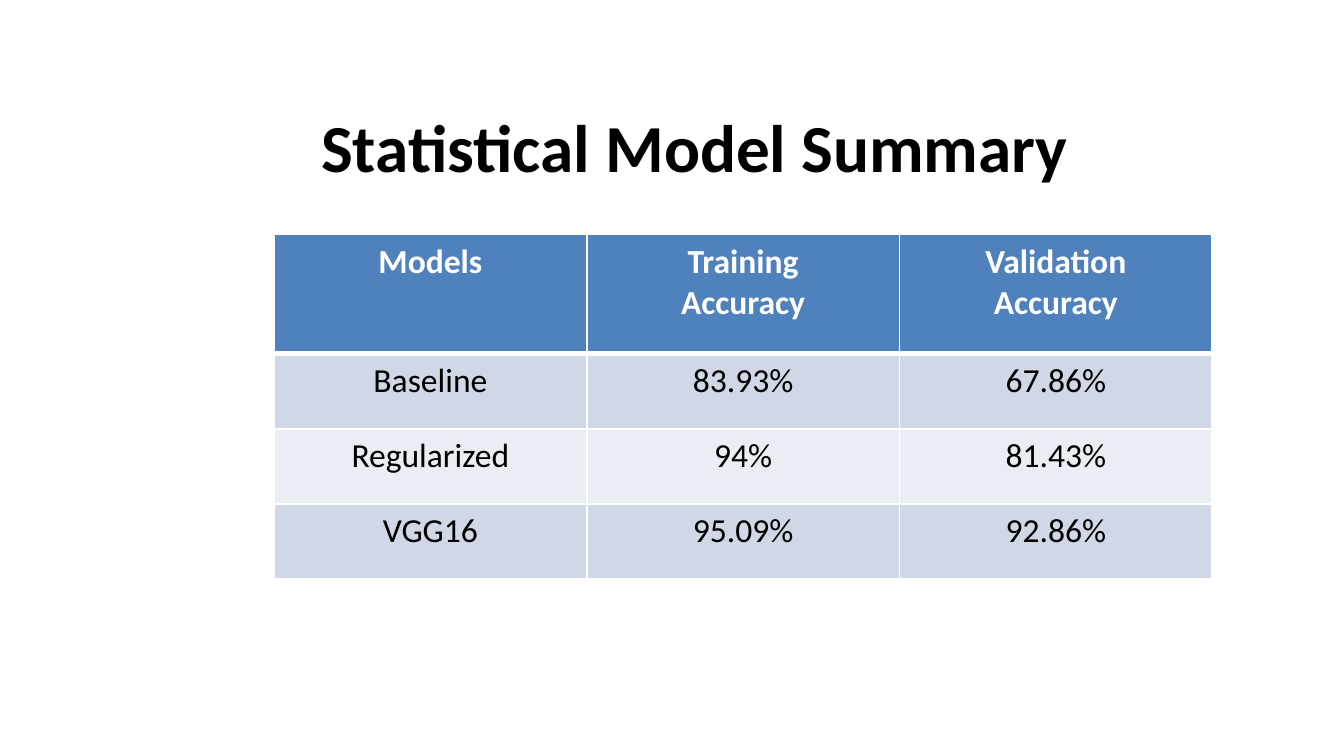
from pptx import Presentation
from pptx.dml.color import RGBColor
from pptx.enum.text import MSO_ANCHOR, PP_ALIGN
from pptx.oxml import parse_xml
from pptx.oxml.ns import nsdecls
from pptx.util import Cm, Pt

COLORS = {
    "text": "000000",
    "white": "FFFFFF",
    "header": "4F81BD",
    "band_dark": "D0D8E8",
    "band_light": "E9EDF4",
}

ROWS = [
    ("Models", "Training\nAccuracy", "Validation\nAccuracy"),
    ("Baseline", "83.93%", "67.86%"),
    ("Regularized", "94%", "81.43%"),
    ("VGG16", "95.09%", "92.86%"),
]


def write_text(tf, text, size=18, bold=False, color="text", font="Calibri",
               align=PP_ALIGN.CENTER):
    for i, line in enumerate(text.split("\n")):
        p = tf.paragraphs[0] if i == 0 else tf.add_paragraph()
        p.alignment = align
        r = p.add_run()
        r.text = line
        r.font.name = font
        r.font.size = Pt(size)
        r.font.bold = bold
        r.font.color.rgb = RGBColor.from_string(COLORS[color])


class SlideBuilder:
    def __init__(self, slide, colors):
        self.slide = slide
        self.colors = colors

    def title(self, text, left, top, width, height):
        sp = self.slide.shapes.title
        sp.left, sp.top, sp.width, sp.height = map(Cm, (left, top, width, height))
        tf = sp.text_frame
        tf.vertical_anchor = MSO_ANCHOR.MIDDLE
        write_text(tf, text, size=36, bold=True)

    def borders(self, cell, widths):
        tc_pr = cell._tc.get_or_add_tcPr()
        for side, width in widths.items():
            tc_pr.append(parse_xml(
                f'<a:ln{side} {nsdecls("a")} w="{Pt(width)}"><a:solidFill>'
                f'<a:srgbClr val="{self.colors["white"]}"/>'
                f'</a:solidFill></a:ln{side}>'))

    def table(self, rows, left, top, col_width, row_heights):
        n_cols = len(rows[0])
        table = self.slide.shapes.add_table(
            len(rows), n_cols, Cm(left), Cm(top),
            Cm(col_width * n_cols), Cm(sum(row_heights))).table
        for col in table.columns:
            col.width = Cm(col_width)
        for i, (values, height) in enumerate(zip(rows, row_heights)):
            table.rows[i].height = Cm(height)
            header = i == 0
            fill = "header" if header else "band_dark" if i % 2 else "band_light"
            widths = {"L": 1, "R": 1, "T": 3 if i == 1 else 1, "B": 3 if header else 1}
            for j, value in enumerate(values):
                cell = table.cell(i, j)
                self.borders(cell, widths)
                cell.fill.solid()
                cell.fill.fore_color.rgb = RGBColor.from_string(self.colors[fill])
                write_text(cell.text_frame, value, bold=header,
                           color="white" if header else "text")


def main():
    prs = Presentation()
    prs.slide_width, prs.slide_height = Cm(25.4), Cm(14.29)
    s = SlideBuilder(prs.slides.add_slide(prs.slide_layouts[5]), COLORS)
    s.title("Statistical Model Summary", 5.08, 1.55, 16.1, 2.39)
    s.table(ROWS, 5.18, 4.43, 5.91, [2.26] + [1.42] * 3)
    prs.save("out.pptx")


if __name__ == "__main__":
    main()
